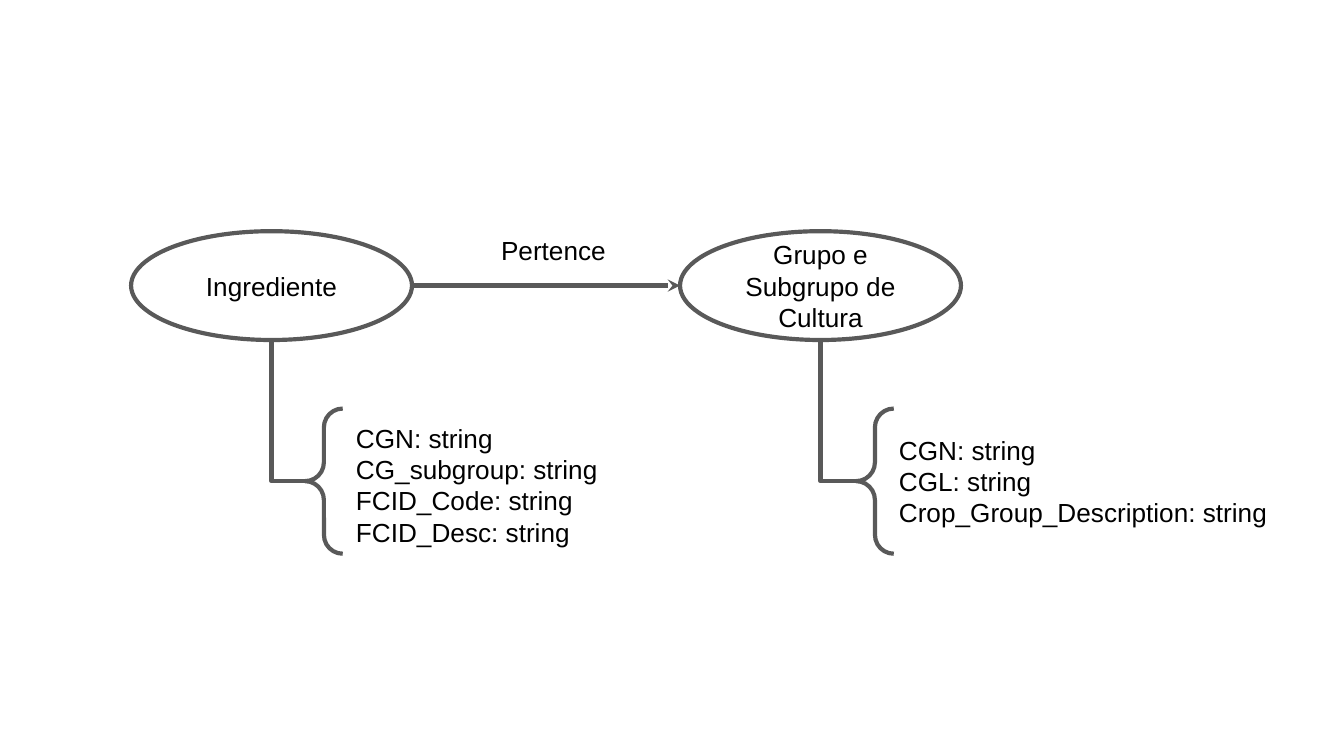
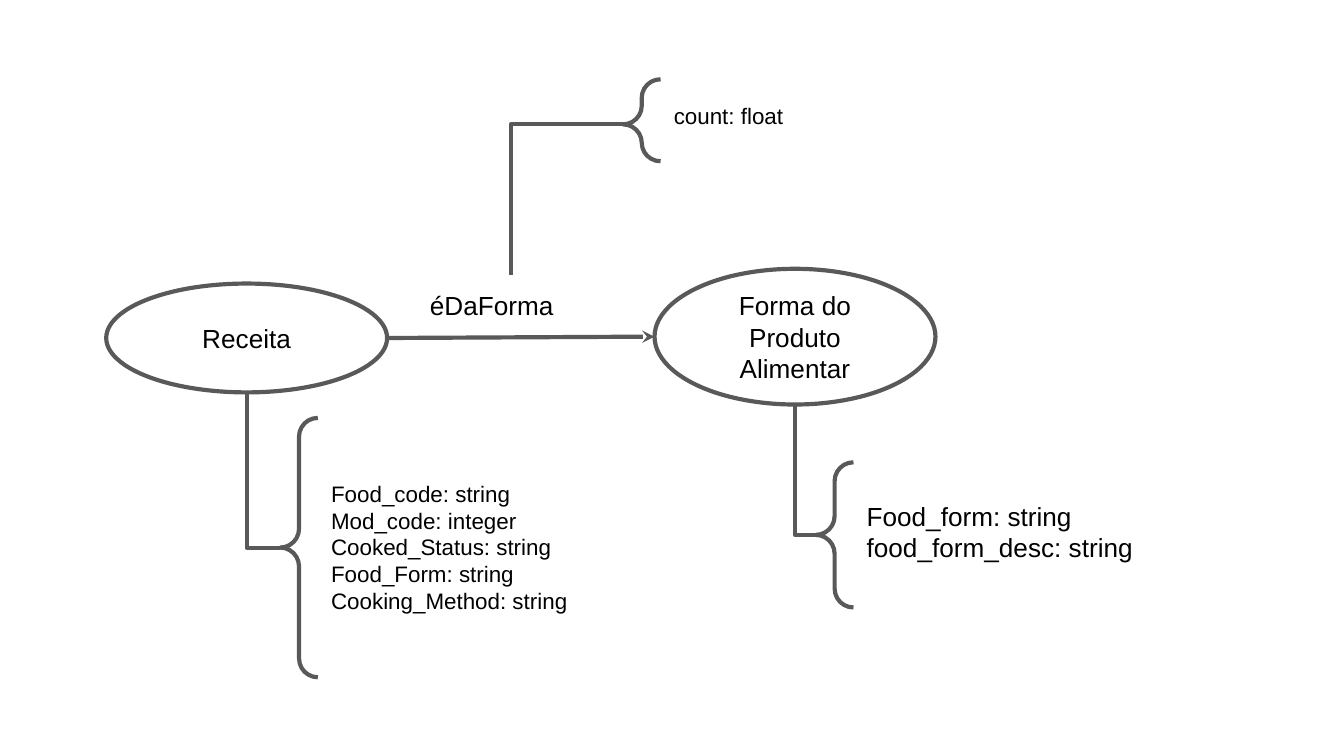
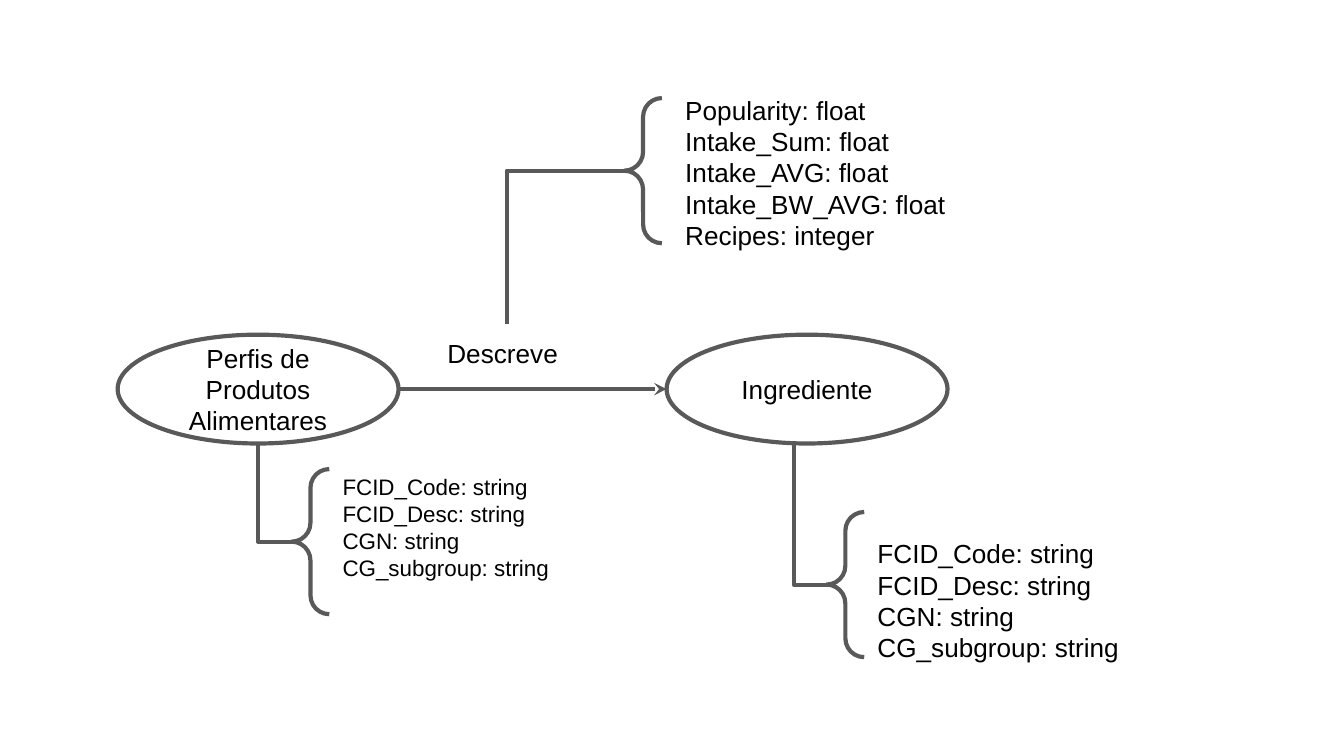
"""Three entity diagrams: two linked ellipses with their attribute lists."""
from dataclasses import dataclass
from typing import Optional

from lxml import etree
from pptx import Presentation
from pptx import util as u
from pptx.dml.color import RGBColor
from pptx.enum import shapes, text
from pptx.oxml import ns

COLS, ROWS = 100, 56.25
CELL = u.Inches(10) // COLS
INK, LINE, PAPER = "000000", "595959", "FFFFFF"
FONT = "Arial"
INSET = 1
ENTITY_W = 20.9
BRACE_W = 2.8


@dataclass
class Attributes:
    """A brace and its list; text_dx shifts the list, stem_dx the stem."""
    lines: list[str]
    x: float
    y: float
    text_y: float
    h: float = 10.8
    tip: float = 0.5
    text_w: float = 26.9
    text_dx: float = 0
    stem_dx: float = 0
    size: float = 14
    room: int = 0


@dataclass
class Entity:
    """An ellipse with its attributes below."""
    name: str
    x: float
    y: float
    attributes: Attributes
    h: float = 8.1

    @property
    def middle(self) -> float:
        return self.y + self.h / 2


@dataclass
class Relation:
    """The label above the arrow, with optional attributes."""
    name: str
    x: float
    y: float
    w: float
    attributes: Optional[Attributes] = None


@dataclass
class Diagram:
    """One slide: a source entity, a target entity and their relation."""
    source: Entity
    target: Entity
    relation: Relation


def cells(*values: float) -> list[int]:
    """Turn grid cells into slide lengths."""
    return [round(v * CELL) for v in values]


def rgb(value: str) -> RGBColor:
    """Turn a hex string into a colour."""
    return RGBColor.from_string(value)


def write(tf, lines: list[str], *, size: float = 14, align=text.PP_ALIGN.LEFT,
          anchor=text.MSO_ANCHOR.TOP) -> None:
    """Fill a text frame with one paragraph per line."""
    tf.word_wrap = True
    tf.vertical_anchor = anchor
    tf.margin_left = tf.margin_right = tf.margin_top = tf.margin_bottom = cells(INSET)[0]
    for i, line in enumerate(lines):
        p = tf.add_paragraph() if i else tf.paragraphs[0]
        p.alignment = align
        r = p.add_run()
        r.text = line
        r.font.name, r.font.size = FONT, u.Pt(size)
        r.font.color.rgb = rgb(INK)


def text_box(slide, lines: list[str], x: float, y: float, w: float, *,
             size: float = 14, room: int = 0) -> None:
    """Add a text box as tall as its lines, or as the room asked for."""
    h = 2 * INSET + (room or len(lines)) * size / 6
    tf = slide.shapes.add_textbox(*cells(x, y, w, h)).text_frame
    write(tf, lines, size=size)
    tf.auto_size = text.MSO_AUTO_SIZE.SHAPE_TO_FIT_TEXT


def stroke(sp) -> None:
    """Give a shape or connector the common outline."""
    sp.line.color.rgb = rgb(LINE)
    sp.line.width = u.Pt(2.25)


def outline(slide, kind, x: float, y: float, w: float, h: float, fill: str = ""):
    """Add an outlined preset shape, filled only when a colour is given."""
    sp = slide.shapes.add_shape(kind, *cells(x, y, w, h))
    sp.shadow.inherit = False
    if fill:
        sp.fill.solid()
        sp.fill.fore_color.rgb = rgb(fill)
    else:
        sp.fill.background()
    stroke(sp)
    return sp


def connector(slide, kind, x1: float, y1: float, x2: float, y2: float):
    """Add a connector without a shadow."""
    sp = slide.shapes.add_connector(kind, *cells(x1, y1, x2, y2))
    stroke(sp)
    etree.SubElement(sp.element.spPr, ns.qn("a:effectLst"))
    return sp


def arrow(slide, x1: float, y1: float, x2: float, y2: float) -> None:
    """Add a straight arrow."""
    sp = connector(slide, shapes.MSO_CONNECTOR.STRAIGHT, x1, y1, x2, y2)
    etree.SubElement(sp.element.spPr.find(ns.qn("a:ln")), ns.qn("a:tailEnd"), type="stealth")


def stem(slide, x1: float, y1: float, x2: float, y2: float) -> None:
    """Add a one-bend line that runs sideways, then up or down."""
    sp = connector(slide, shapes.MSO_CONNECTOR.ELBOW, x1, y1, x2, y2)
    spPr = sp.element.spPr
    spPr.find(ns.qn("a:prstGeom")).set("prst", "bentConnector2")
    xfrm = spPr.find(ns.qn("a:xfrm"))
    if x2 < x1 and y2 < y1:
        del xfrm.attrib["flipH"], xfrm.attrib["flipV"]
        xfrm.set("rot", str(180 * 60000))


def draw_attributes(slide, a: Attributes, stem_x: float, stem_y: float) -> None:
    """Draw a brace, its list and the stem to its owner."""
    brace = outline(slide, shapes.MSO_SHAPE.LEFT_BRACE, a.x, a.y, BRACE_W, a.h)
    brace.adjustments[0], brace.adjustments[1] = 0.5, a.tip
    stem(slide, a.x, a.y + a.h * a.tip, stem_x + a.stem_dx, stem_y)
    text_box(slide, a.lines, a.x + BRACE_W + a.text_dx, a.text_y, a.text_w,
             size=a.size, room=a.room)


def draw_entity(slide, e: Entity) -> None:
    """Draw an ellipse with its name and attributes."""
    sp = outline(slide, shapes.MSO_SHAPE.OVAL, e.x, e.y, ENTITY_W, e.h, PAPER)
    write(sp.text_frame, [e.name], align=text.PP_ALIGN.CENTER,
          anchor=text.MSO_ANCHOR.MIDDLE)
    draw_attributes(slide, e.attributes, e.x + ENTITY_W / 2, e.y + e.h)


def draw_diagram(prs, d: Diagram) -> None:
    """Add a slide with one diagram."""
    slide = prs.slides.add_slide(prs.slide_layouts[6])
    draw_entity(slide, d.source)
    draw_entity(slide, d.target)
    arrow(slide, d.source.x + ENTITY_W, d.source.middle, d.target.x, d.target.middle)
    rel = d.relation
    text_box(slide, [rel.name], rel.x, rel.y, rel.w)
    if rel.attributes:
        draw_attributes(slide, rel.attributes, rel.x + rel.w / 2, rel.y)


CODE, DESC = "FCID_Code: string", "FCID_Desc: string"
CGN, SUBGROUP = "CGN: string", "CG_subgroup: string"

DIAGRAMS = [
    Diagram(
        Entity("Ingrediente", 9.75, 17.2,
               Attributes([CGN, SUBGROUP, CODE, DESC], 22.7, 30.4, 30.4)),
        Entity("Grupo e Subgrupo de Cultura", 50.6, 17.2,
               Attributes([CGN, "CGL: string", "Crop_Group_Description: string"],
                          63.7, 30.4, 31.3, text_w=32.6, text_dx=-0.6)),
        Relation("Pertence", 36.3, 16.4, 12.6)),
    Diagram(
        Entity("Receita", 7.9, 21.1,
               Attributes(["Food_code: string", "Mod_code: integer",
                           "Cooked_Status: string", "Food_Form: string",
                           "Cooking_Method: string"],
                          20.85, 31.1, 34.7, h=19.3, size=12)),
        Entity("Forma do Produto Alimentar", 48.7, 20,
               Attributes(["Food_form: string", "food_form_desc: string"],
                          60.7, 34.4, 36.2, text_w=28.7, room=3), h=10.1),
        Relation("éDaForma", 31, 20.5, 14,
                 Attributes(["count: float"], 46.35, 5.9, 6.6, h=6.1, tip=0.55, size=12))),
    Diagram(
        Entity("Perfis de Produtos Alimentares", 8.75, 24.9,
               Attributes([CODE, DESC, CGN, SUBGROUP], 21.7, 34.9, 34.2, size=12, room=5)),
        Entity("Ingrediente", 49.6, 24.9,
               Attributes([CODE, DESC, CGN, SUBGROUP], 61.5, 38.1, 39, stem_dx=-1)),
        Relation("Descreve", 32.3, 24.1, 10.8,
                 Attributes(["Popularity: float", "Intake_Sum: float", "Intake_AVG: float",
                             "Intake_BW_AVG: float", "Recipes: integer"],
                            46.45, 7.3, 6, text_dx=0.75))),
]


def main() -> None:
    """Build the presentation."""
    prs = Presentation()
    prs.slide_width, prs.slide_height = cells(COLS, ROWS)
    for d in DIAGRAMS:
        draw_diagram(prs, d)
    prs.save("out.pptx")


main()
